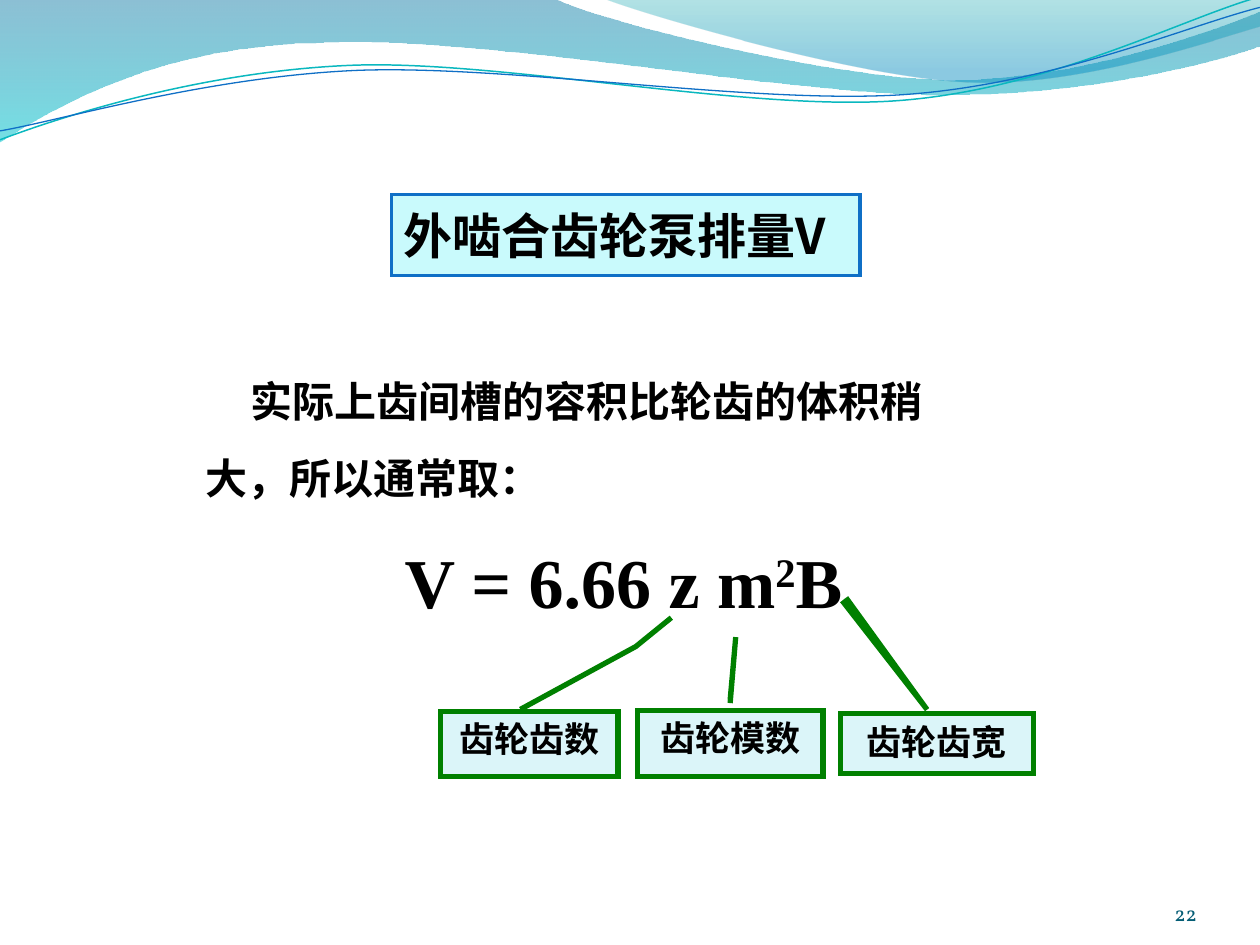
import dataclasses
import math

import pptx
import pptx.dml.color
import pptx.enum.shapes
import pptx.enum.text
import pptx.oxml
import pptx.oxml.ns
import pptx.util
from pptx.oxml.ns import qn
from pptx.util import Cm

ALIGN = pptx.enum.text.PP_ALIGN
ANCHOR = pptx.enum.text.MSO_ANCHOR
AUTO_SIZE = pptx.enum.text.MSO_AUTO_SIZE
SHAPE = pptx.enum.shapes.MSO_SHAPE


@dataclasses.dataclass(frozen=True)
class Theme:
    ink: str = "000000"
    blue: str = "0F6FC6"
    teal: str = "0AB8BF"
    green: str = "008000"
    title_fill: str = "C9FAFC"
    label_fill: str = "DBF5F9"
    number: str = "045D75"
    band: tuple = ((0, "0074A1", 45), (1, "00C6CF", 55))
    sheet: tuple = ((0, "00A1A9", 30), (0.8, "008BBF", 45))
    sans: str = "Noto Sans CJK SC"
    label_font: str = "Karla"
    formula_font: str = "Times New Roman"
    number_font: str = "Vollkorn"
    title_size: int = 28
    body_size: int = 24
    formula_size: int = 40
    label_size: int = 20
    number_size: int = 12


@dataclasses.dataclass(frozen=True)
class Box:
    left: float
    top: float
    width: float
    height: float

    def lengths(self):
        return [Cm(value) for value in dataclasses.astuple(self)]


THEME = Theme()
WAVE_TILT = -2.7
BAND = [(0, -0.03), (11.18, -0.03), (12.09, 0.43, 16.87, 1.6, 19.25, 1.6),
        (21.67, 1.6, 24.33, 0.66, 25.4, 0.23), (25.43, 0.91),
        (24.97, 1.12, 22.1, 1.93, 18.95, 1.91),
        (15.8, 1.91, 9.7, 0.71, 6.53, 0.86),
        (3.28, 0.89, 1.17, 2.11, -0.03, 2.87), (0, -0.03)]
SHEET = [(12.17, -0.03), (12.93, 0.28, 17.32, 1.57, 19.53, 1.65),
         (21.74, 1.75, 24.41, 0.81, 25.4, 0.53), (25.4, 0), (12.17, -0.03)]
TEAL_WAVE = [(0, 2.82), (1.22, 2.36, 4.01, 1.45, 7.04, 1.32),
             (10.03, 1.19, 15.06, 2.26, 18.11, 2.03),
             (21.16, 1.8, 23.83, 0.38, 25.35, -0.05)]
BLUE_WAVE = [(0, 2.64), (1.19, 2.44, 4.17, 1.55, 7.19, 1.42),
             (10.24, 1.3, 15.16, 2.11, 18.21, 1.91),
             (21.23, 1.7, 23.9, 0.53, 25.4, 0.15)]


def color(code):
    return pptx.dml.color.RGBColor.from_string(code)


def element(tag, attributes=""):
    return pptx.oxml.parse_xml(f'<a:{tag} {pptx.oxml.ns.nsdecls("a")} {attributes}/>')


def style(para, face, size, ink=THEME.ink, bold=True, align=ALIGN.LEFT):
    para.alignment = align
    para.font.size = pptx.util.Pt(size)
    para.font.bold = bold
    para.font.color.rgb = color(ink)
    para.font.name = face
    para._p.find(".//" + qn("a:defRPr")).append(element("ea", f'typeface="{face}"'))


def paint(shape, fill, line, width):
    shape.shadow.inherit = False
    shape.fill.solid()
    shape.fill.fore_color.rgb = color(fill)
    shape.line.color.rgb = color(line)
    shape.line.width = pptx.util.Pt(width)
    shape._element.spPr.find(qn("a:ln")).append(element("miter", 'lim="800000"'))


def turn(point, center, degrees):
    angle = math.radians(degrees)
    dx, dy = point[0] - center[0], point[1] - center[1]
    return (center[0] + dx * math.cos(angle) - dy * math.sin(angle),
            center[1] + dx * math.sin(angle) + dy * math.cos(angle))


def outline(page, box, segments, close, tilt=0):
    center = (box.width / 2, box.height / 2)
    points = [turn(segment[i:i + 2], center, -tilt)
              for segment in segments for i in range(0, len(segment), 2)]
    points = [(Cm(box.left + x), Cm(box.top + y)) for x, y in points]
    builder = page.shapes.build_freeform(*points[0])
    builder.add_line_segments(points[1:], close=close)
    shape = builder.convert_to_shape()
    lines = iter(list(shape._element.iter(qn("a:lnTo"))))
    for segment in segments[1:]:
        group = [next(lines) for _ in range(len(segment) // 2)]
        if len(group) == 3:
            curve = element("cubicBezTo")
            group[0].addprevious(curve)
            for line in group:
                curve.append(line[0])
                line.getparent().remove(line)
    shape.rotation = tilt
    shape.shadow.inherit = False
    return shape


def add_waves(page, box):
    for segments, stops in ((BAND, THEME.band), (SHEET, THEME.sheet)):
        shape = outline(page, box, segments, True)
        shape.line.fill.background()
        shape.fill.gradient()
        shape.fill.gradient_angle = 270
        for stop, (position, code, _) in zip(shape.fill.gradient_stops, stops):
            stop.position = position
            stop.color.rgb = color(code)
        codes = shape._element.spPr.iter(qn("a:srgbClr"))
        for code, (_, _, opacity) in zip(codes, stops):
            code.append(element("alpha", f'val="{opacity * 1000}"'))
    for segments, code, width in ((TEAL_WAVE, THEME.teal, 0.85), (BLUE_WAVE, THEME.blue, 0.75)):
        shape = outline(page, box, segments, False, WAVE_TILT)
        shape.fill.background()
        shape.line.color.rgb = color(code)
        shape.line.width = pptx.util.Pt(width)


def add_title(page, box):
    title = page.shapes.title
    title._element.getparent().append(title._element)
    title.left, title.top, title.width, title.height = box.lengths()
    paint(title, THEME.title_fill, THEME.blue, 2)
    frame = title.text_frame
    frame.text = "外啮合齿轮泵排量V"
    frame.auto_size = AUTO_SIZE.NONE
    frame.vertical_anchor = ANCHOR.MIDDLE
    style(frame.paragraphs[0], THEME.sans, THEME.title_size)


def add_explanation(page, box):
    frame = page.shapes.add_textbox(*box.lengths()).text_frame
    frame.word_wrap = True
    frame.margin_top = Cm(0.32)
    para = frame.paragraphs[0]
    para.text = "实际上齿间槽的容积比轮齿的体积稍大，所以通常取："
    para.line_spacing = 1.52
    para._p.get_or_add_pPr().set("indent", str(Cm(0.91)))
    style(para, THEME.sans, THEME.body_size)


def add_formula(page, box):
    frame = page.shapes.add_textbox(*box.lengths()).text_frame
    frame.word_wrap = False
    frame.auto_size = AUTO_SIZE.SHAPE_TO_FIT_TEXT
    para = frame.paragraphs[0]
    for text, baseline in (("V = 6.66 z m", 0), ("2", 30000), ("B", 0)):
        span = para.add_run()
        span.text = text
        if baseline:
            span._r.get_or_add_rPr().set("baseline", str(baseline))
    style(para, THEME.formula_font, THEME.formula_size)


def add_label(page, box, text, face, leader):
    label = page.shapes.add_shape(SHAPE.LINE_CALLOUT_2, *box.lengths())
    for index, value in enumerate(leader):
        label.adjustments[index] = value
    paint(label, THEME.label_fill, THEME.green, 3)
    frame = label.text_frame
    frame.text = text
    frame.word_wrap = True
    frame.vertical_anchor = ANCHOR.TOP
    style(frame.paragraphs[0], face, THEME.label_size, align=ALIGN.CENTER)


def add_page_number(page, box):
    frame = page.shapes.add_textbox(*box.lengths()).text_frame
    frame.word_wrap = True
    frame.margin_left = frame.margin_right = frame.margin_top = frame.margin_bottom = 0
    frame.vertical_anchor = ANCHOR.BOTTOM
    frame.text = "22"
    style(frame.paragraphs[0], THEME.number_font, THEME.number_size, THEME.number,
          bold=False, align=ALIGN.RIGHT)


def main():
    deck = pptx.Presentation()
    deck.slide_width, deck.slide_height = Cm(25.4), Cm(19.05)
    page = deck.slides.add_slide(deck.slide_layouts[5])
    add_waves(page, Box(0, 0, 25.4, 2.87))
    labels = (
        (Box(8.88, 14.34, 3.58, 1.32), "齿轮齿数", THEME.sans,
         (-0.03, 0.45, -0.99, 1.1, -1.43, 1.3)),
        (Box(12.85, 14.32, 3.74, 1.33), "齿轮模数", THEME.sans,
         (-0.11, 0.5, -1.11, 0.53, -0.16, 0.5)),
        (Box(16.94, 14.39, 3.89, 1.2), "齿轮齿宽", THEME.label_font,
         (-1.95, 0.03, -0.07, 0.45, -1.9, 0.01)),
    )
    for label in labels:
        add_label(page, *label)
    add_explanation(page, Box(3.9, 6.73, 15.6, 3.35))
    add_title(page, Box(7.89, 3.92, 9.45, 1.63))
    add_formula(page, Box(7.91, 10.73, 9.5, 1.96))
    add_page_number(page, Box(22.02, 17.65, 2.11, 1.02))
    deck.save("out.pptx")


if __name__ == "__main__":
    main()
